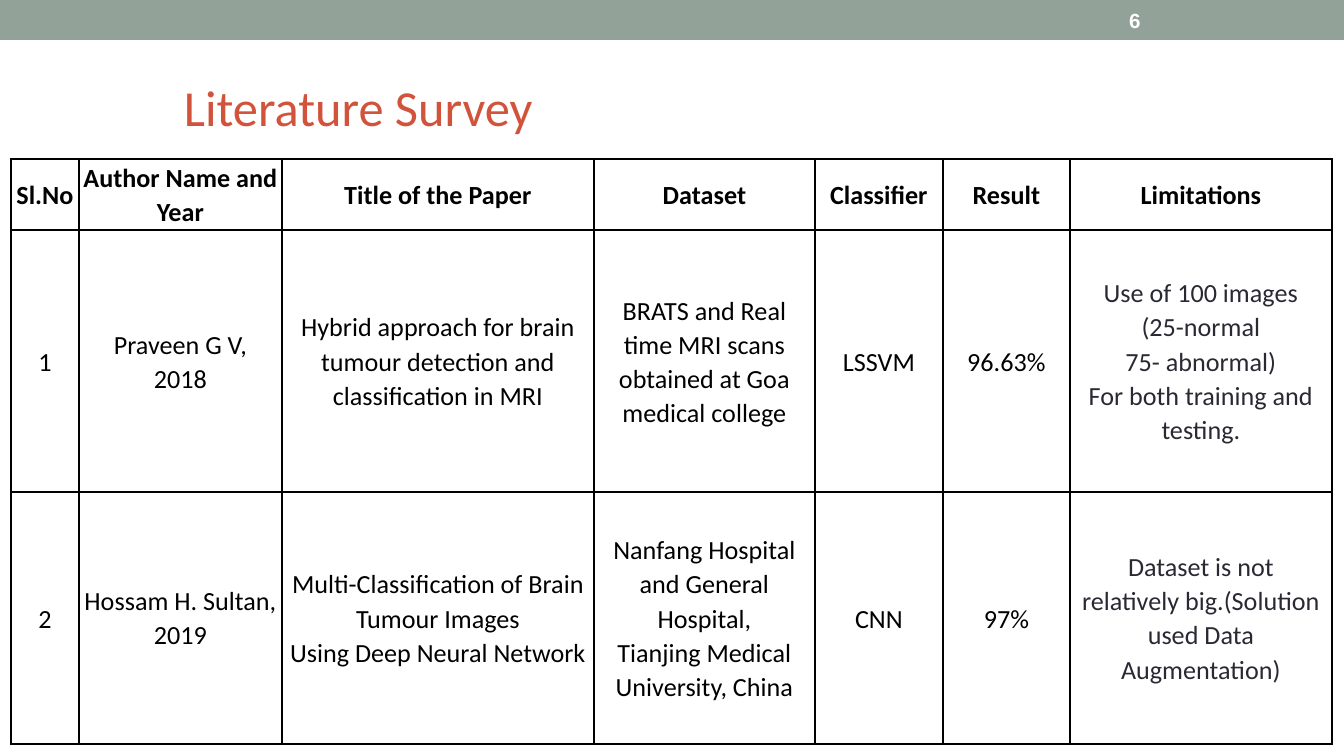
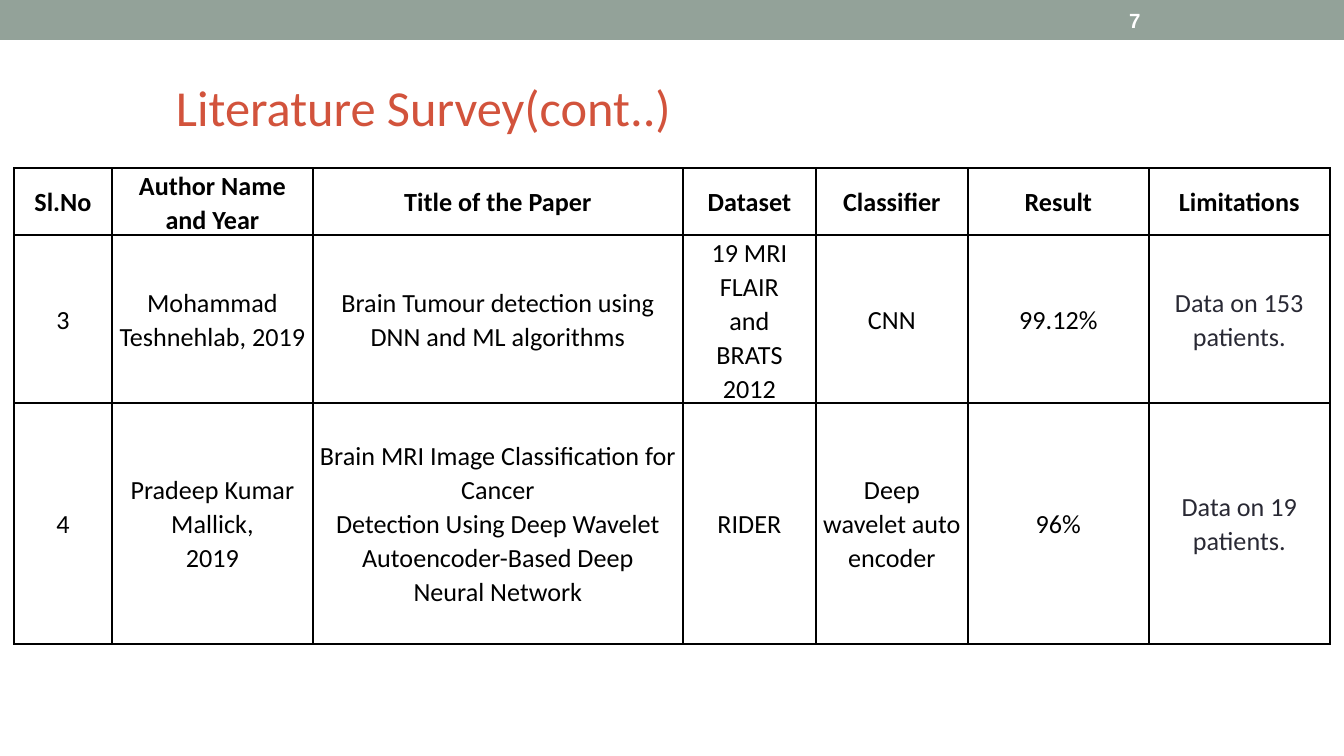
import pptx
import pptx.util
import pptx.dml.color
import pptx.enum.shapes
import pptx.enum.text
import lxml.etree

HUES = {"band": "93A299", "title": "D2533C", "ink": "000000",
        "note": "292934", "page": "FFFFFF"}
SCALE = 914400 / 134.4
NS = "http://schemas.openxmlformats.org/drawingml/2006/main"
MID = pptx.enum.text.MSO_ANCHOR.MIDDLE
LEFT = pptx.enum.text.PP_ALIGN.LEFT
CENTER = pptx.enum.text.PP_ALIGN.CENTER

HEAD = ["Sl.No", "Author Name and Year", "Title of the Paper", "Dataset",
        "Classifier", "Result", "Limitations"]
PAGES = [
    {"page": "6", "title": "Literature Survey", "box": (175, 69, 1094, 74),
     "at": (11, 159), "cols": [68, 203, 312, 221, 128, 127, 262],
     "rows": [71, 262, 252],
     "data": [
         ["1", "Praveen G V,\n2018",
          "Hybrid approach for brain tumour detection and classification in MRI",
          "BRATS and Real time MRI scans obtained at Goa medical college",
          "LSSVM", "96.63%",
          "Use of 100 images\n(25-normal\n75- abnormal)\n"
          "For both training and testing."],
         ["2", "Hossam H. Sultan, 2019",
          "Multi-Classification of Brain Tumour Images\nUsing Deep Neural Network",
          "Nanfang Hospital and General Hospital,\n"
          "Tianjing Medical University, China",
          "CNN", "97%",
          "Dataset is not relatively big.(Solution used Data Augmentation)"]]},
    {"page": "7", "title": "Literature Survey(cont..)", "box": (167, 69, 1101, 75),
     "at": (14, 168), "cols": [98, 201, 370, 133, 152, 181, 181],
     "rows": [36, 113, 241],
     "data": [
         ["3", "Mohammad Teshnehlab, 2019",
          "Brain Tumour detection using DNN and ML algorithms",
          "19 MRI FLAIR\nand\nBRATS 2012", "CNN", "99.12%",
          "Data on 153 patients."],
         ["4", "Pradeep Kumar Mallick,\n2019",
          "Brain MRI Image Classification for Cancer\n"
          "Detection Using Deep Wavelet\nAutoencoder-Based Deep\nNeural Network",
          "RIDER", "Deep wavelet auto encoder", "96%",
          "Data on 19 patients."]]},
]


def px(*nums):
    return [pptx.util.Emu(round(num * SCALE)) for num in nums]


def style(part, text, size, hue, font="Calibri", bold=False, align=LEFT,
          space=1.0, pads=(9, 5)):
    """Fill a shape or a cell with text and format it."""
    part.text_frame.text = text
    part.text_frame.word_wrap = True
    side, edge = px(*pads)
    # cells keep margins and anchor themselves, shapes in their text frame
    box = part if hasattr(part, "margin_left") else part.text_frame
    box.margin_left = box.margin_right = side
    box.margin_top = box.margin_bottom = edge
    box.vertical_anchor = MID
    for para in part.text_frame.paragraphs:
        para.alignment = align
        para.line_spacing = space
        for run in para.runs:
            run.font.size = pptx.util.Pt(size)
            run.font.name = font
            run.font.bold = bold
            run.font.color.rgb = pptx.dml.color.RGBColor.from_string(HUES[hue])


deck = pptx.Presentation()
deck.slide_width, deck.slide_height = px(1344, 756)

for page in PAGES:
    slide = deck.slides.add_slide(deck.slide_layouts[5])

    # Title
    title = slide.shapes.title
    title.left, title.top, title.width, title.height = px(*page["box"])
    style(title, page["title"], 27, "title")

    # Top band and page number
    band = slide.shapes.add_shape(
        pptx.enum.shapes.MSO_SHAPE.RECTANGLE, *px(0, 0, 1344, 40))
    band.shadow.inherit = False
    band.fill.solid()
    band.fill.fore_color.rgb = pptx.dml.color.RGBColor.from_string(HUES["band"])
    band.line.fill.background()
    label = slide.shapes.add_textbox(*px(1120, 2, 157, 36))
    style(label, page["page"], 11, "page", "Arial", True)

    # Survey table
    grid = [HEAD] + page["data"]
    size = px(sum(page["cols"]), sum(page["rows"]))
    table = slide.shapes.add_table(
        len(grid), len(HEAD), *px(*page["at"]), *size).table
    table.first_row = table.horz_banding = False
    for col, width in zip(table.columns, px(*page["cols"])):
        col.width = width
    for row, height in zip(table.rows, px(*page["rows"])):
        row.height = height
    for r, line in enumerate(grid):
        for c, text in enumerate(line):
            cell = table.cell(r, c)
            note = r > 0 and c == len(HEAD) - 1
            style(cell, text, 14, "note" if note else "ink", bold=r == 0,
                  align=CENTER, space=1.07, pads=(8 if note else 4, 0))
            # Cell borders, then no fill
            props = cell._tc.get_or_add_tcPr()
            for side in ("lnL", "lnR", "lnT", "lnB"):
                rule = lxml.etree.SubElement(props, f"{{{NS}}}{side}", w="12700")
                fill = lxml.etree.SubElement(rule, f"{{{NS}}}solidFill")
                lxml.etree.SubElement(fill, f"{{{NS}}}srgbClr", val=HUES["ink"])
            cell.fill.background()

deck.save("out.pptx")
